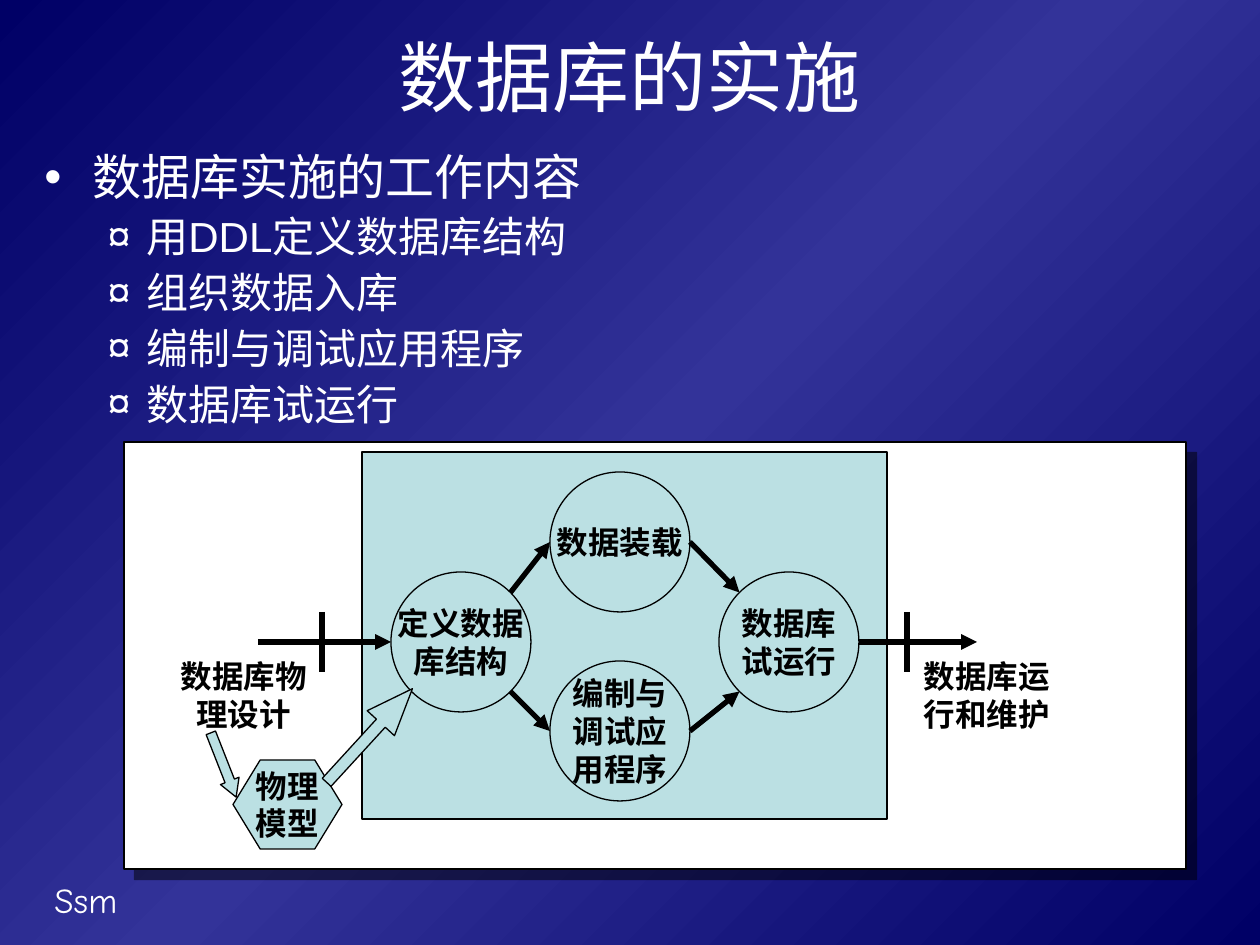
"""Build the slide on putting a database into operation."""
from copy import deepcopy
from math import sqrt

from lxml import etree
from pptx import Presentation
from pptx import util as u
from pptx.dml.color import RGBColor
from pptx.enum import shapes, text
from pptx.oxml import ns

THEME = {
    "white": "FFFFFF", "black": "000000", "pale": "BBE0E3",
    "navy": "000066", "blue": "333399",
    "font": "Arial", "footer_font": "Comic Neue",
    "title": 44, "lead": 28, "item": 24, "footer": 20, "label": 18,
}
SIZE = (1260, 945)

TITLE = ("数据库的实施", (63, 21, 1134, 110))
FOOTER = ("Ssm", (42, 872, 262, 55))
LIST_BOX = (32, 147, 1207, 306)
LEAD = ["数据库实施的工作内容"]
ITEMS = [["用", "DDL", "定义数据库结构"], ["组织数据入库"], ["编制与调试应用程序"], ["数据库试运行"]]
LEVELS = {
    "lead": dict(bullet="•", margin=48, hang=48, before=7),
    "item": dict(bullet="¤", margin=102, hang=39, before=6),
}

PANEL = (124, 442, 1062, 427)
STAGE = (362, 452, 525, 367)
RADIUS = 70
STEPS = {
    "define": ((461, 642), ["定义数据", "库结构"]),
    "load": ((620, 542), ["数据装载"]),
    "code": ((620, 731), ["编制与", "调试应", "用程序"]),
    "trial": ((789, 642), ["数据库", "试运行"]),
}
FLOWS = [("define", "ne", "load", "w"), ("define", "se", "code", "w"),
         ("load", "e", "trial", "nw"), ("code", "e", "trial", "sw")]
ENTRY, EXIT = 258, 977
GATES = [322, 907]
GATE_HALF = 30
LABELS = [(["数据库物", "理设计"], (164, 651, 159, 88)),
          (["数据库运", "行和维护"], (907, 651, 159, 88))]
MODEL = (["物理", "模型"], (233, 760, 109, 89), (0.306, 1.155))
BLOCK_ARROWS = [((189, 755, 69, 20), 248.5, (0.5, 0.869)),
                ((306, 717, 127, 37), 132.5, (0.322, 1.265))]


def px(value):
    return u.Emu(round(value * 914400 / 126))


def color(name):
    return RGBColor.from_string(THEME[name])


def add_xml(parent, tag, **attributes):
    return etree.SubElement(parent, ns.qn(tag), attributes)


def write(para, words, size, ink="white", font="font", bold=False):
    for word in words:
        span = para.add_run()
        span.text = word
        span.font.name = THEME[font]
        span.font.size = u.Pt(THEME[size])
        span.font.bold = bold
        span.font.color.rgb = color(ink)


def write_label(frame, lines):
    frame.word_wrap = False
    frame.vertical_anchor = text.MSO_ANCHOR.MIDDLE
    frame.margin_left = frame.margin_right = u.Inches(0.1)
    frame.margin_top = frame.margin_bottom = u.Inches(0.05)
    for index, line in enumerate(lines):
        para = frame.add_paragraph() if index else frame.paragraphs[0]
        para.alignment = text.PP_ALIGN.CENTER
        write(para, [line], "label", "black", bold=True)


def add_text_box(page, place):
    box = page.shapes.add_textbox(*map(px, place))
    box.text_frame.word_wrap = True
    return box.text_frame


def add_block(page, kind, place, fill="pale", lines=(), adjust=(), turn=0):
    block = page.shapes.add_shape(kind, *map(px, place))
    block.shadow.inherit = False
    block.fill.solid()
    block.fill.fore_color.rgb = color(fill)
    block.line.color.rgb = color("black")
    block.line.width = u.Pt(0.75)
    block.rotation = turn
    for index, value in enumerate(adjust):
        block.adjustments[index] = value
    if lines:
        write_label(block.text_frame, lines)
    return block


def add_line(page, start, end, arrow=True):
    line = page.shapes.add_connector(
        shapes.MSO_CONNECTOR.STRAIGHT, *map(px, (*start, *end)))
    line.line.color.rgb = color("black")
    line.line.width = u.Pt(3)
    if arrow:
        add_xml(line.line._get_or_add_ln(), "a:tailEnd", type="triangle")
    add_xml(line._element.spPr, "a:effectLst")


def rim(step, side):
    (x, y), _ = STEPS[step]
    reach = RADIUS / sqrt(len(side))
    across = ("e" in side) - ("w" in side)
    down = ("s" in side) - ("n" in side)
    return x + reach * across, y + reach * down


def paint_background(page):
    fill = page.background.fill
    fill.gradient()
    fill.gradient_angle = 135
    for stop, name, position in zip(fill.gradient_stops, ("navy", "blue"), (0, 0.5)):
        stop.color.rgb = color(name)
        stop.position = position
    stops = page._element.find(".//" + ns.qn("a:gsLst"))
    last = deepcopy(stops[0])
    last.set("pos", "100000")
    stops.append(last)


def add_title(page):
    words, place = TITLE
    title = page.shapes.title
    title.left, title.top, title.width, title.height = map(px, place)
    title.text_frame.vertical_anchor = text.MSO_ANCHOR.MIDDLE
    para = title.text_frame.paragraphs[0]
    para.alignment = text.PP_ALIGN.CENTER
    write(para, [words], "title")


def add_list(page):
    frame = add_text_box(page, LIST_BOX)
    rows = [("lead", LEAD)] + [("item", words) for words in ITEMS]
    for index, (level, words) in enumerate(rows):
        style = LEVELS[level]
        para = frame.add_paragraph() if index else frame.paragraphs[0]
        para.level = int(level == "item")
        para.line_spacing = 0.9
        if index:
            para.space_before = u.Pt(style["before"])
        props = para._p.get_or_add_pPr()
        props.set("marL", str(px(style["margin"])))
        props.set("indent", str(-px(style["hang"])))
        add_xml(add_xml(props, "a:buClr"), "a:srgbClr", val=THEME["white"])
        add_xml(props, "a:buFont", typeface=THEME["font"])
        add_xml(props, "a:buChar", char=style["bullet"])
        write(para, words, level)


def add_panel(page):
    panel = add_block(page, shapes.MSO_SHAPE.RECTANGLE, PANEL, "white")
    effects = panel._element.spPr.find(ns.qn("a:effectLst"))
    shadow = add_xml(effects, "a:outerShdw", dist=str(u.Pt(8.5)), dir="2700000",
                     algn="ctr", rotWithShape="0")
    tint = add_xml(shadow, "a:srgbClr", val=THEME["black"])
    add_xml(tint, "a:alpha", val="50000")


def add_diagram(page):
    add_panel(page)
    add_block(page, shapes.MSO_SHAPE.RECTANGLE, STAGE)
    for (x, y), lines in STEPS.values():
        place = (x - RADIUS, y - RADIUS, 2 * RADIUS, 2 * RADIUS)
        add_block(page, shapes.MSO_SHAPE.OVAL, place, lines=lines)
    for source, leave, target, arrive in FLOWS:
        add_line(page, rim(source, leave), rim(target, arrive))
    middle = STEPS["define"][0][1]
    add_line(page, rim("trial", "e"), (EXIT, middle))
    add_line(page, (ENTRY, middle), rim("define", "w"))
    for x in GATES:
        add_line(page, (x, middle - GATE_HALF), (x, middle + GATE_HALF), arrow=False)
    for lines, place in LABELS:
        write_label(add_text_box(page, place), lines)
    lines, place, adjust = MODEL
    add_block(page, shapes.MSO_SHAPE.HEXAGON, place, lines=lines, adjust=adjust)
    for place, turn, adjust in BLOCK_ARROWS:
        add_block(page, shapes.MSO_SHAPE.LEFT_ARROW, place, adjust=adjust, turn=turn)


def main():
    deck = Presentation()
    deck.slide_width, deck.slide_height = map(px, SIZE)
    page = deck.slides.add_slide(deck.slide_layouts[5])
    paint_background(page)
    words, place = FOOTER
    write(add_text_box(page, place).paragraphs[0], [words], "footer", font="footer_font")
    add_title(page)
    add_list(page)
    add_diagram(page)
    deck.save("out.pptx")


if __name__ == "__main__":
    main()
